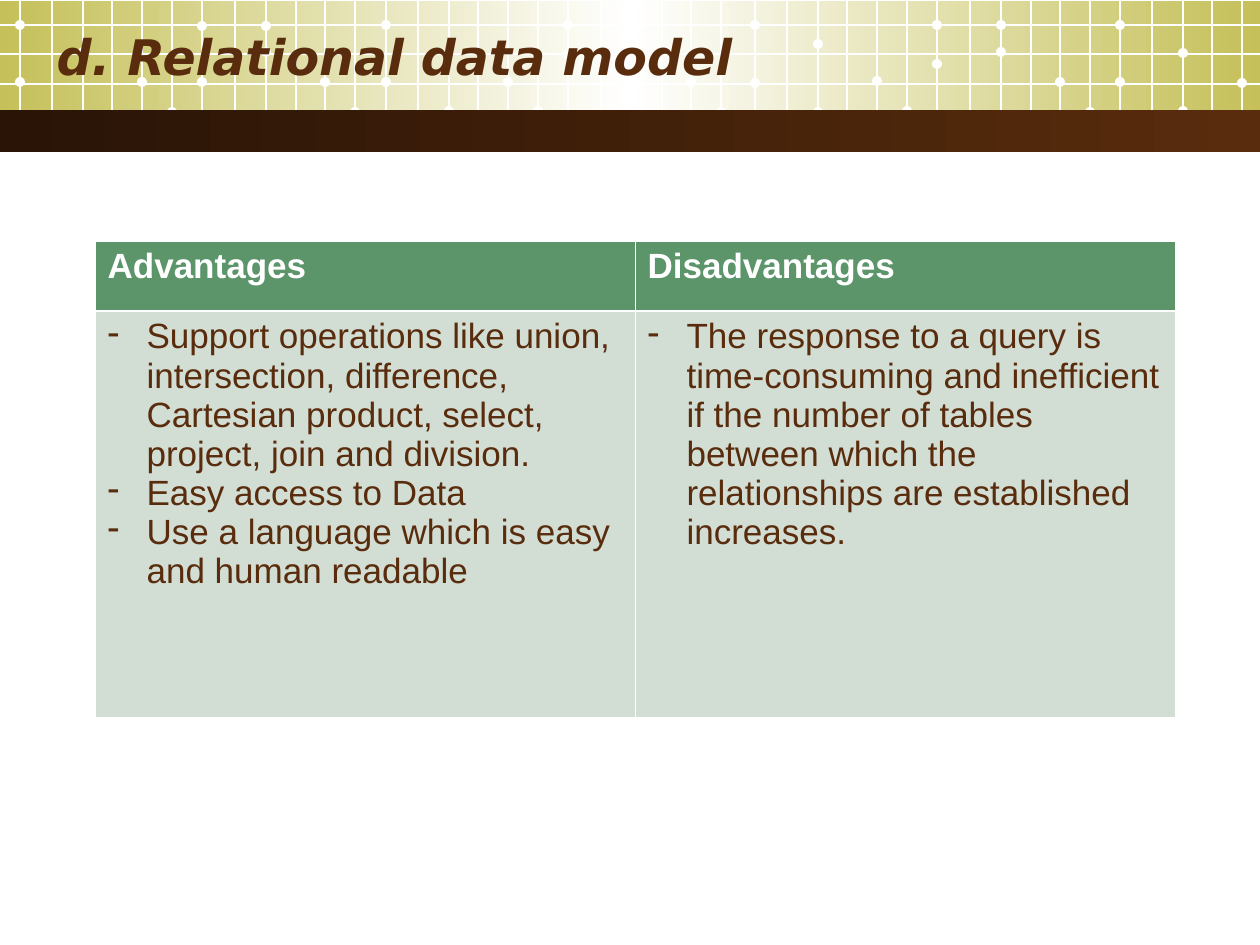
from copy import deepcopy

from lxml.etree import SubElement
from pptx import Presentation
from pptx.dml.color import RGBColor
from pptx.enum.shapes import MSO_CONNECTOR as Connector, MSO_SHAPE as Shape
from pptx.enum.text import MSO_ANCHOR as Anchor, MSO_AUTO_SIZE as AutoSize, PP_ALIGN as Align
from pptx.oxml.ns import qn
from pptx.util import Emu, Pt

WHITE = RGBColor(0xFF, 0xFF, 0xFF)
OLIVE = RGBColor(0xC5, 0xC0, 0x59)
DARK_BROWN = RGBColor(0x29, 0x14, 0x06)
BROWN = RGBColor(0x59, 0x2C, 0x0D)
GREEN = RGBColor(0x5B, 0x95, 0x69)
PALE_GREEN = RGBColor(0xD2, 0xDD, 0xD4)

WIDTH, HEIGHT = 1260, 945
THIN, THICK = 0.45, 1.47
DOT = 10

# The banner grid repeats in bays of twelve vertical lines.
BAY_STARTS = [20, 386, 755, 1120]
LINE_OFFSETS = [0, 32, 63, 92, 122, 152, 182, 215, 246, 276, 305, 335]
ROW_LINES = [25, 54, 84]
DOT_LINES = [0, 0, 2, 2, 4, 5, 6, 6, 8, 8, 10, 11]
DOT_HEIGHTS = [
    [82, 25, 52, 115, 82, 112, 82, 26, 52, 26, 82, 112],
    [82, 25, 52, 111, 82, 111, 54, 25, 53, 25, 82, 112],
    [83, 25, 44, 112, 81, 111, 64, 25, 52, 25, 82, 112],
    [82, 25, 53, 111, 83],
]

HEADINGS = ["Advantages", "Disadvantages"]
POINTS = [
    [
        "Support operations like union, intersection, difference, Cartesian product, "
        "select, project, join and division.",
        "Easy access to Data",
        "Use a language which is easy and human readable",
    ],
    [
        "The response to a query is time-consuming and inefficient if the number of "
        "tables between which the relationships are established increases.",
    ],
]


def px(length):
    return Emu(round(length * 914400 / 126))


def add_gradient_bar(page, top, height, colours):
    """Full-width bar whose colours run evenly from left to right."""
    bar = page.shapes.add_shape(Shape.RECTANGLE, 0, px(top), px(WIDTH), px(height))
    bar.shadow.inherit = False
    bar.line.fill.background()
    bar.fill.gradient()
    bar.fill.gradient_angle = 0
    stop_list = bar.fill._fill._gradFill.find(qn("a:gsLst"))
    while len(stop_list) < len(colours):
        stop_list.append(deepcopy(stop_list[-1]))
    for index, (stop, colour) in enumerate(zip(bar.fill.gradient_stops, colours)):
        stop.position = index / (len(colours) - 1)
        stop.color.rgb = colour


def add_grid_line(group, left, top, right, bottom):
    line = group.shapes.add_connector(
        Connector.STRAIGHT, px(left), px(top), px(right), px(bottom))
    line.line.color.rgb = WHITE
    line.line.width = Pt(0.75)
    SubElement(line._element.spPr, qn("a:effectLst"))


def add_dot(group, centre, middle):
    dot = group.shapes.add_shape(
        Shape.OVAL, px(centre - DOT / 2), px(middle - DOT / 2), px(DOT), px(DOT))
    dot.shadow.inherit = False
    dot.fill.solid()
    dot.fill.fore_color.rgb = WHITE
    dot.line.fill.background()


def add_grid(page):
    group = page.shapes.add_group_shape()
    for start, heights in zip(BAY_STARTS, DOT_HEIGHTS):
        for offset in LINE_OFFSETS:
            if start + offset < WIDTH:
                add_grid_line(group, start + offset, 0, start + offset, 139)
        for line, middle in zip(DOT_LINES, heights):
            add_dot(group, start + LINE_OFFSETS[line], middle)
    for row in ROW_LINES:
        add_grid_line(group, 0, row, WIDTH, row)


def style_font(font, name, size, colour, bold=False, italic=False):
    font.name = name
    font.size = Pt(size)
    font.color.rgb = colour
    font.bold = bold
    font.italic = italic


def set_title(page, text):
    title = page.shapes.title
    page.shapes._spTree.append(title._element)  # in front of the banner
    title.left, title.top, title.width, title.height = px(44), px(6), px(1152), px(100)
    frame = title.text_frame
    frame.text = text
    frame.auto_size = AutoSize.NONE
    frame.vertical_anchor = Anchor.MIDDLE
    para = frame.paragraphs[0]
    para.alignment = Align.LEFT
    style_font(para.runs[0].font, "DejaVu Sans", 28, BROWN, bold=True, italic=True)


def set_dash(para):
    properties = para._p.get_or_add_pPr()
    properties.set("marL", str(px(39)))
    properties.set("indent", str(-px(39)))
    colour = SubElement(properties, qn("a:buClr"))
    SubElement(colour, qn("a:srgbClr"), val=str(BROWN))
    SubElement(properties, qn("a:buChar"), char="-")


def set_borders(cell, top, bottom):
    properties = cell._tc.get_or_add_tcPr()
    for side, width in {"L": THIN, "R": THIN, "T": top, "B": bottom}.items():
        edge = SubElement(properties, qn(f"a:ln{side}"), w=str(Pt(width)))
        fill = SubElement(edge, qn("a:solidFill"))
        SubElement(fill, qn("a:srgbClr"), val=str(WHITE))


def fill_cell(cell, lines, is_heading):
    set_borders(cell, *((THIN, THICK) if is_heading else (THICK, THIN)))
    cell.fill.solid()
    cell.fill.fore_color.rgb = GREEN if is_heading else PALE_GREEN
    cell.text_frame.text = "\n".join(lines)
    for para in cell.text_frame.paragraphs:
        if not is_heading:
            set_dash(para)
        for span in para.runs:
            style_font(span.font, "Arial", 20, WHITE if is_heading else BROWN, is_heading)


def add_comparison_table(page):
    table = page.shapes.add_table(2, 2, px(95), px(241), px(1080), px(476)).table
    table.horz_banding = False
    for column in table.columns:
        column.width = px(540)
    for row, height in zip(table.rows, (70, 406)):
        row.height = px(height)
    for index, (heading, points) in enumerate(zip(HEADINGS, POINTS)):
        fill_cell(table.cell(0, index), [heading], True)
        fill_cell(table.cell(1, index), points, False)


def main():
    deck = Presentation()
    deck.slide_width, deck.slide_height = px(WIDTH), px(HEIGHT)
    page = deck.slides.add_slide(deck.slide_layouts[5])
    add_gradient_bar(page, 1, 129, [OLIVE, WHITE, OLIVE])
    add_grid(page)
    add_gradient_bar(page, 110, 42, [DARK_BROWN, BROWN])
    set_title(page, "d. Relational data model")
    add_comparison_table(page)
    deck.save("out.pptx")


if __name__ == "__main__":
    main()
